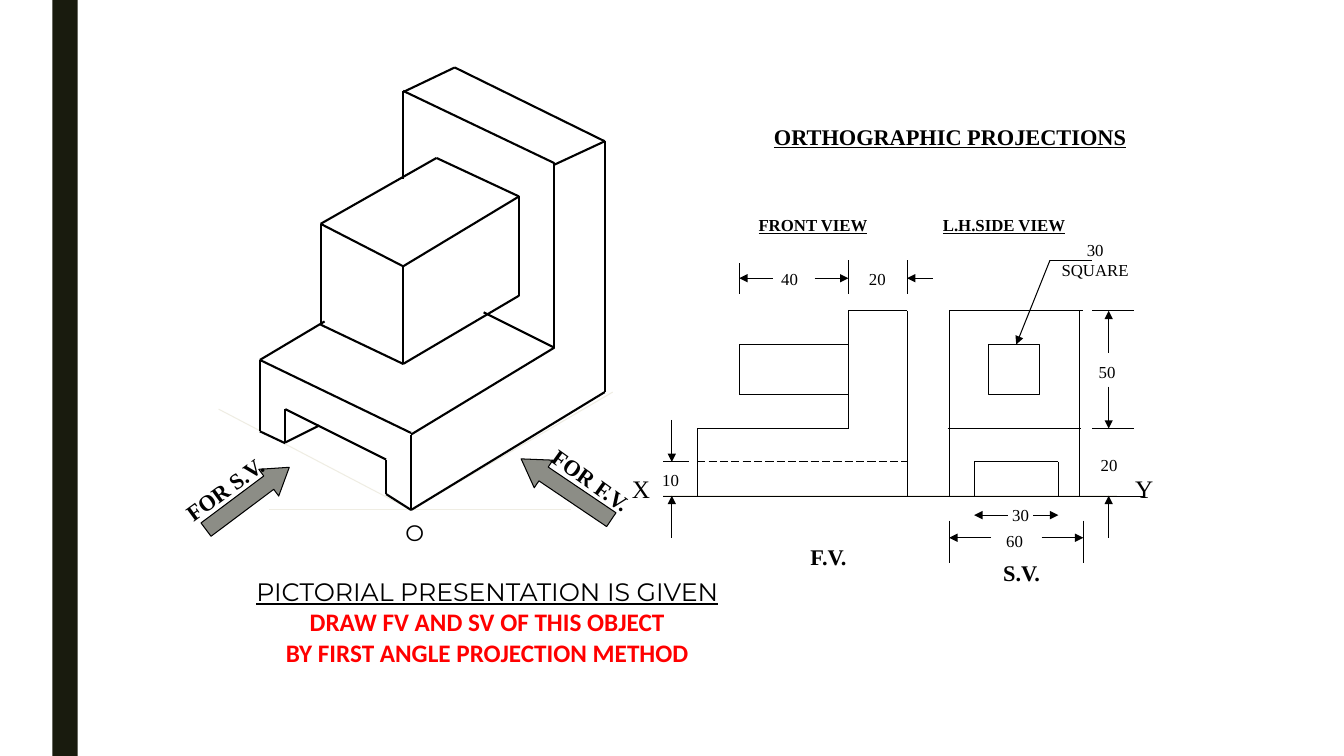
"""Build a slide with a pictorial view and its first angle orthographic projections."""
from itertools import pairwise

from lxml.etree import SubElement
from pptx import Presentation
from pptx.dml.color import RGBColor
from pptx.enum.dml import MSO_LINE_DASH_STYLE as Dash
from pptx.enum.shapes import MSO_CONNECTOR as Connector, MSO_SHAPE as Shape
from pptx.enum.text import MSO_ANCHOR as Anchor, MSO_AUTO_SIZE as AutoSize, PP_ALIGN as Align
from pptx.oxml.ns import qn
from pptx.util import Cm, Pt

BLACK, PALE, GREY, RED = "000000", "EFEDE3", "8C8D86", "FF0000"
SERIF, SANS, CAPTION = "Times New Roman", "Montserrat", "Calibri"
LINE_HEIGHTS = {12: 0.76, 16: 0.94, 18: 1.02}


def draw_path(points, color=BLACK, width=0.75, arrow=False, dash=None):
    for start, end in pairwise(points):
        edge = page.shapes.add_connector(Connector.STRAIGHT, *map(Cm, start + end))
        edge.line.color.rgb = RGBColor.from_string(color)
        edge.line.width = Pt(width)
        if dash:
            edge.line.dash_style = dash
        if arrow:
            SubElement(edge.line._get_or_add_ln(), qn("a:tailEnd"), type="triangle")
        SubElement(edge._element.spPr, qn("a:effectLst"))


def write_text(box, lines, align=Align.CENTER):
    frame = box.text_frame
    frame.word_wrap = False
    frame.auto_size = AutoSize.SHAPE_TO_FIT_TEXT
    frame.vertical_anchor = Anchor.TOP
    for index, (text, color, font) in enumerate(lines):
        para = frame.add_paragraph() if index else frame.paragraphs[0]
        para.alignment = align
        para.line_spacing = 1.0
        span = para.add_run()
        span.text = text
        span.font.color.rgb = RGBColor.from_string(color)
        for name, value in font.items():
            setattr(span.font, name, value)


deck = Presentation()
deck.slide_width, deck.slide_height = Cm(33.87), Cm(19.05)
page = deck.slides.add_slide(deck.slide_layouts[5])

title = page.shapes.title
title.left, title.top, title.width, title.height = map(Cm, (19.25, 2.97, 9.42, 0.94))
heading_font = {"name": SERIF, "size": Pt(16), "bold": True, "underline": True}
write_text(title, [("ORTHOGRAPHIC PROJECTIONS", BLACK, heading_font)], Align.LEFT)

solids = [
    (Shape.RECTANGLE, (1.32, 0, 0.64, 19.05), 0, "191B0E", None, ()),
    (Shape.RECTANGLE, (24.92, 8.68, 1.27, 1.27), 0, "FFFFFF", BLACK, ()),
    (Shape.LEFT_ARROW, (4.93, 12.14, 2.62, 0.84), 143.2, GREY, BLACK, (0.5, 0.77)),
    (Shape.LEFT_ARROW, (12.9, 11.91, 2.74, 0.84), 34, GREY, BLACK, (0.5, 0.81)),
]
for kind, place, turn, fill, outline, adjustments in solids:
    solid = page.shapes.add_shape(kind, *map(Cm, place))
    solid.shadow.inherit = False
    solid.rotation = turn
    solid.fill.solid()
    solid.fill.fore_color.rgb = RGBColor.from_string(fill)
    if outline:
        solid.line.color.rgb = RGBColor.from_string(outline)
        solid.line.width = Pt(0.75)
    else:
        solid.line.fill.background()
    for index, value in enumerate(adjustments):
        solid.adjustments[index] = value

guide_lines = [
    [(6.78, 12.85), (14.4, 12.85)],
    [(10.36, 12.85), (15.44, 9.88)],
    [(10.36, 12.85), (5.51, 10.31)],
    [(16.72, 12.49), (28.14, 12.49)],
]
for path in guide_lines:
    draw_path(path, PALE)

pictorial_edges = [
    [(10.36, 12.85), (10.36, 10.95), (13.97, 8.76), (13.97, 4.11), (10.16, 2.29), (10.16, 4.5)],
    [(10.16, 2.32), (11.46, 1.7), (15.24, 3.56), (15.24, 9.88), (10.36, 12.85)],
    [(13.97, 4.15), (15.24, 3.56)],
    [(13.97, 8.76), (12.19, 7.87)],
    [(10.36, 10.91), (6.55, 9.07), (8.18, 8.1)],
    [(6.55, 9.07), (6.55, 10.87), (7.19, 11.17), (7.19, 10.31), (9.73, 11.58),
     (9.73, 12.45), (10.36, 12.85)],
    [(7.19, 11.15), (8.05, 10.72)],
    [(10.16, 6.71), (8.08, 5.64), (11, 3.98), (13.08, 4.95), (10.16, 6.71),
     (10.16, 9.17), (13.08, 7.45), (13.08, 4.95)],
    [(8.08, 5.64), (8.08, 8.18), (10.16, 9.17)],
]
for path in pictorial_edges:
    draw_path(path, width=1.5)

view_edges = [
    [(17.57, 12.49), (17.57, 10.8), (21.38, 10.8), (21.38, 7.83), (22.86, 7.83), (22.86, 12.49)],
    [(21.38, 8.68), (18.63, 8.68), (18.63, 9.95), (21.38, 9.95)],
    [(23.92, 12.49), (23.92, 7.83), (27.3, 7.83)],
    [(27.2, 7.83), (27.2, 12.49)],
    [(23.88, 10.8), (27.25, 10.8)],
    [(24.55, 12.49), (24.55, 11.64), (26.67, 11.64), (26.67, 12.49)],
    [(16.72, 12.52), (28.83, 12.52)],
]
extension_lines = [
    [(18.63, 6.63), (18.63, 7.41)],
    [(21.38, 6.56), (21.38, 7.41)],
    [(22.86, 6.56), (22.86, 7.41)],
    [(27.52, 7.83), (28.58, 7.83)],
    [(27.52, 10.8), (28.58, 10.8)],
    [(23.92, 13.12), (23.92, 14.18)],
    [(27.3, 13.12), (27.3, 14.18)],
    [(16.72, 11.64), (17.36, 11.64)],
    [(26.46, 6.56), (27.52, 6.56)],
]
for path in view_edges + extension_lines:
    draw_path(path)
draw_path([(17.57, 11.64), (22.86, 11.64)], dash=Dash.LONG_DASH)

dimension_arrows = [
    [(26.46, 6.56), (25.61, 8.68)],
    [(27.94, 8.89), (27.94, 7.83)],
    [(27.94, 9.74), (27.94, 10.8)],
    [(27.94, 13.55), (27.94, 12.49)],
    [(24.98, 13.55), (23.92, 13.55)],
    [(26.25, 13.55), (27.3, 13.55)],
    [(26.04, 12.98), (26.67, 12.98)],
    [(25.4, 12.98), (24.55, 12.98)],
    [(16.93, 10.58), (16.93, 11.64)],
    [(16.93, 13.55), (16.93, 12.49)],
    [(19.47, 7.01), (18.63, 7.01)],
    [(20.53, 7.01), (21.38, 7.01)],
    [(23.5, 7.01), (22.86, 7.01)],
]
for path in dimension_arrows:
    draw_path(path, arrow=True)

plain, strong, view_title = {}, {"bold": True}, {"bold": True, "underline": True}
labels = [
    ("40", 19.43, 6.65, 0.94, 12, plain, 0),
    ("20", 21.64, 6.65, 0.94, 12, plain, 0),
    ("30 SQUARE", 26.24, 5.92, 2.72, 12, plain, 0),
    ("20", 27.48, 11.33, 0.94, 12, plain, 0),
    ("50", 27.43, 8.99, 0.94, 12, plain, 0),
    ("60", 25.1, 13.26, 0.94, 12, plain, 0),
    ("30", 25.25, 12.6, 0.94, 12, plain, 0),
    ("10", 16.43, 11.71, 0.94, 12, plain, 0),
    ("F.V.", 20.17, 13.55, 1.42, 16, strong, 0),
    ("S.V.", 25.02, 13.97, 1.45, 16, strong, 0),
    ("O", 9.96, 12.95, 0.99, 16, {"name": SANS}, 0),
    ("FOR S.V.", 4.24, 11.86, 2.84, 16, strong, 323.8),
    ("FOR F.V.", 13.46, 11.63, 2.87, 16, strong, 35.6),
    ("FRONT VIEW", 18.85, 5.29, 3.28, 12, view_title, 0),
    ("L.H.SIDE VIEW", 23.5, 5.29, 3.61, 12, view_title, 0),
    ("X", 15.67, 11.79, 0.97, 18, plain, 0),
    ("Y", 28.35, 11.79, 0.97, 18, plain, 0),
]
for text, left, top, width, size, style, turn in labels:
    label = page.shapes.add_textbox(*map(Cm, (left, top, width, LINE_HEIGHTS[size])))
    label.rotation = turn
    write_text(label, [(text, BLACK, {"name": SERIF, "size": Pt(size)} | style)])

task = page.shapes.add_textbox(Cm(5.51), Cm(14.4), Cm(13.54), Cm(2.54))
task_font = {"name": CAPTION, "size": Pt(18), "bold": True}
write_text(task, [
    ("PICTORIAL PRESENTATION IS GIVEN", BLACK, {"name": SANS, "size": Pt(18), "underline": True}),
    ("DRAW FV AND SV OF THIS OBJECT", RED, task_font),
    ("BY FIRST ANGLE PROJECTION METHOD", RED, task_font),
])

deck.save("out.pptx")
